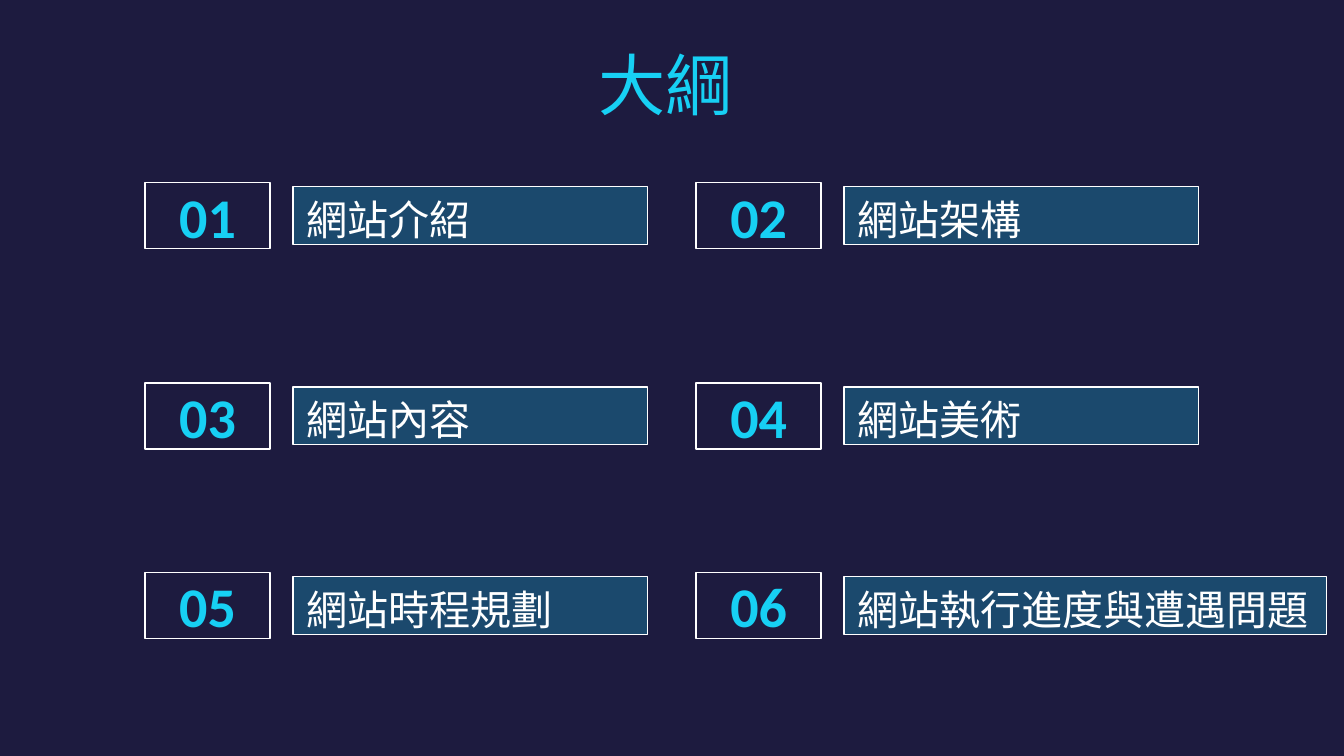
from dataclasses import dataclass

from lxml.etree import SubElement
from pptx import Presentation
from pptx.dml.color import RGBColor
from pptx.enum.shapes import MSO_SHAPE as Shape
from pptx.enum.text import MSO_ANCHOR as Anchor, PP_ALIGN as Align
from pptx.oxml.ns import qn
from pptx.util import Inches, Pt


@dataclass(frozen=True)
class Theme:
    font: str = "Calibri"
    background: RGBColor = RGBColor(0x1D, 0x1B, 0x3F)
    accent: RGBColor = RGBColor(0x17, 0xD0, 0xF4)
    white: RGBColor = RGBColor(0xFF, 0xFF, 0xFF)
    label_opacity: int = 26  # percent
    title_size: int = 36
    number_size: int = 30
    label_size: int = 22
    border: float = 0.75


THEME = Theme()

# Grid, in inches
COLUMNS = (1.08, 5.18)
ROWS = (1.36, 2.85, 4.26)
NUMBER_SIZE = (0.93, 0.49)
LABEL_SIZE = (2.64, 0.43)
LABEL_OFFSET = (1.10, 0.03)
WIDE_LABEL = 3.59

TOPICS = ("網站介紹", "網站架構", "網站內容", "網站美術",
          "網站時程規劃", "網站執行進度與遭遇問題")


def write(frame, text, size, color, align, bold=False):
    """Put one vertically centred line of text in a frame."""
    frame.word_wrap = True
    frame.vertical_anchor = Anchor.MIDDLE
    frame.margin_left = frame.margin_right = Inches(0.1)
    frame.margin_top = frame.margin_bottom = Inches(0.1)
    frame.text = text
    line = frame.paragraphs[0]
    line.alignment = align
    font = line.runs[0].font
    font.name, font.size, font.bold = THEME.font, Pt(size), bold
    font.color.rgb = color
    return line


def add_frame(slide, left, top, width, height):
    """Add a hollow rectangle with a thin white border."""
    box = slide.shapes.add_shape(Shape.RECTANGLE, Inches(left), Inches(top),
                                 Inches(width), Inches(height))
    box.shadow.inherit = False
    box.fill.background()
    box.line.color.rgb = THEME.white
    box.line.width = Pt(THEME.border)
    return box


def add_title(slide, text):
    title = slide.shapes.add_textbox(Inches(3.48), Inches(0.39),
                                     Inches(2.95), Inches(1.01))
    frame = title.text_frame
    write(frame, text, THEME.title_size, THEME.accent, Align.CENTER)
    # The heading sits in the upper part of its box
    frame.margin_top, frame.margin_bottom = 0, Inches(0.55)


def add_number(slide, left, top, number):
    box = add_frame(slide, left, top, *NUMBER_SIZE)
    write(box.text_frame, f"{number:02d}", THEME.number_size, THEME.accent,
          Align.CENTER, bold=True)


def add_label(slide, left, top, width, topic):
    box = add_frame(slide, left, top, width, LABEL_SIZE[1])
    box.fill.solid()
    box.fill.fore_color.rgb = THEME.accent
    tint = box.fill._xPr.find(qn("a:solidFill"))[0]
    SubElement(tint, qn("a:alpha"), val=str(THEME.label_opacity * 1000))
    line = write(box.text_frame, topic, THEME.label_size, THEME.white,
                 Align.LEFT)
    line.line_spacing = 1.15


def main():
    deck = Presentation()
    deck.slide_width, deck.slide_height = Inches(10), Inches(5.625)
    slide = deck.slides.add_slide(deck.slide_layouts[6])
    slide.background.fill.solid()
    slide.background.fill.fore_color.rgb = THEME.background

    add_title(slide, "大綱")

    # Outline: numbered topics, read row by row
    for index, topic in enumerate(TOPICS):
        row, column = divmod(index, len(COLUMNS))
        left, top = COLUMNS[column], ROWS[row]
        is_last = index == len(TOPICS) - 1
        add_number(slide, left, top, index + 1)
        add_label(slide, left + LABEL_OFFSET[0], top + LABEL_OFFSET[1],
                  WIDE_LABEL if is_last else LABEL_SIZE[0], topic)

    deck.save("out.pptx")


if __name__ == "__main__":
    main()
